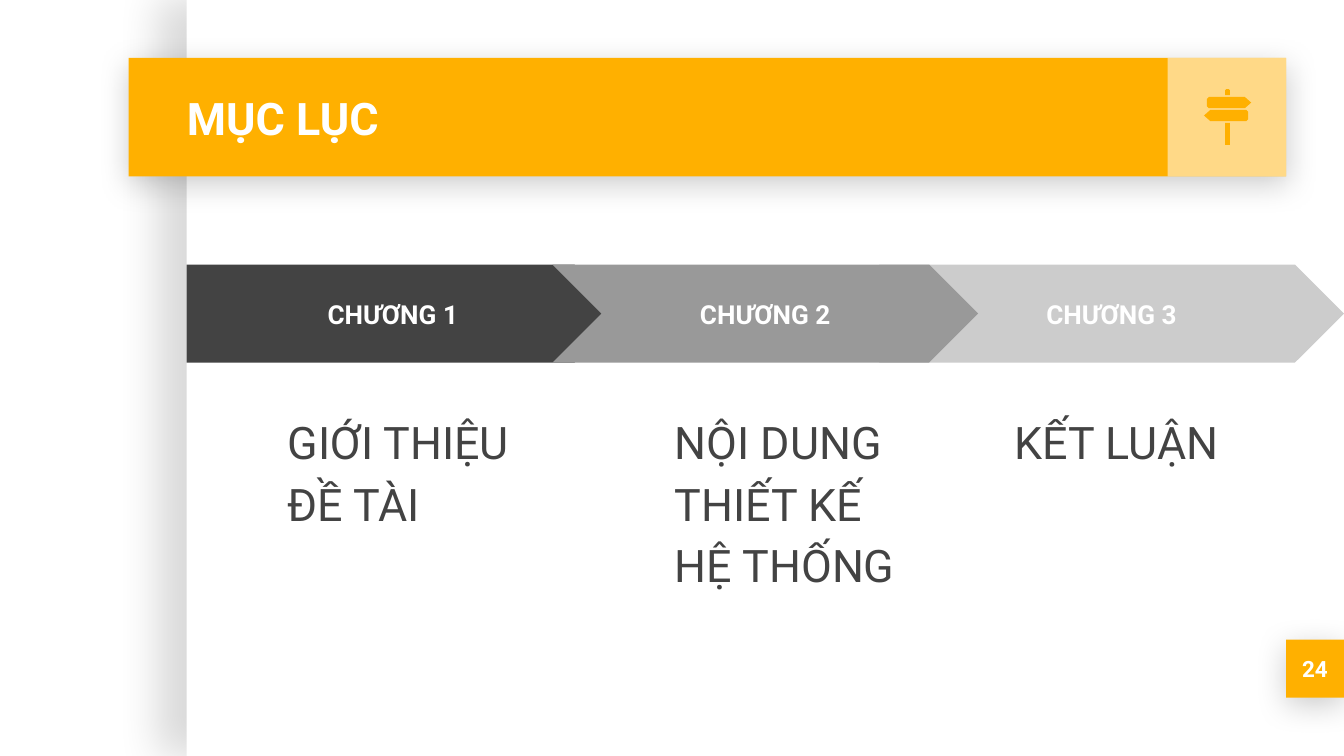
from lxml import etree
from pptx import Presentation
from pptx.dml.color import RGBColor
from pptx.enum import shapes, text
from pptx.oxml import ns
from pptx.util import Pt

COLORS = {
    "white": "FFFFFF",
    "black": "000000",
    "amber": "FFB000",
    "dark": "434343",
    "mid": "999999",
    "light": "CCCCCC",
}
FONT = "Roboto"
INSET = 7.2
SHAPE = shapes.MSO_SHAPE

# Arrow kind, colour, left, width, label; topic left, width, height, wording
CHAPTERS = [
    (SHAPE.CHEVRON, "light", 471, 249, "CHƯƠNG 3", 536.5, 168.5, 151, "KẾT LUẬN"),
    (SHAPE.PENTAGON, "dark", 100, 234, "CHƯƠNG 1", 147, 137, 142.5, "GIỚI THIỆU ĐỀ TÀI"),
    (SHAPE.CHEVRON, "mid", 296, 228, "CHƯƠNG 2", 354.5, 137, 151, "NỘI DUNG THIẾT KẾ HỆ THỐNG"),
]


def rgb(name):
    return RGBColor.from_string(COLORS[name])


def paint(sp, color):
    sp.shadow.inherit = False
    sp.fill.solid()
    sp.fill.fore_color.rgb = rgb(color)
    sp.line.fill.background()


def add_alpha(color_element, percent):
    alpha = etree.SubElement(color_element, ns.qn("a:alpha"))
    alpha.set("val", str(percent * 1000))


def add_shadow(sp, percent, blur, distance, angle):
    effects = sp._element.spPr.find(ns.qn("a:effectLst"))
    shadow = etree.SubElement(effects, ns.qn("a:outerShdw"))
    for key, value in (("blurRad", Pt(blur)), ("dist", Pt(distance)), ("dir", angle * 60000)):
        shadow.set(key, str(value))
    shadow.set("algn", "bl")
    shadow.set("rotWithShape", "0")
    color = etree.SubElement(shadow, ns.qn("a:srgbClr"), val=COLORS["black"])
    add_alpha(color, percent)


def add_block(s, kind, left, top, width, height, color):
    sp = s.shapes.add_shape(kind, Pt(left), Pt(top), Pt(width), Pt(height))
    paint(sp, color)
    return sp


def write(sp, words, size, color="white", bold=True, align="LEFT", anchor="MIDDLE", spacing=None):
    tf = sp.text_frame
    tf.word_wrap = True
    tf.vertical_anchor = getattr(text.MSO_ANCHOR, anchor)
    tf.margin_left = tf.margin_right = tf.margin_top = tf.margin_bottom = Pt(INSET)
    p = tf.paragraphs[0]
    p.text = words
    p.alignment = getattr(text.PP_ALIGN, align)
    if spacing:
        p.line_spacing = spacing
    p.font.name = FONT
    p.font.size = Pt(size)
    p.font.bold = bold
    p.font.color.rgb = rgb(color)


def add_textbox(s, left, top, width, height, words, size, **style):
    sp = s.shapes.add_textbox(Pt(left), Pt(top), Pt(width), Pt(height))
    write(sp, words, size, **style)


def add_outline(group, points, color):
    corners = [(Pt(x), Pt(y)) for x, y in points]
    builder = group.shapes.build_freeform(*corners[0], scale=1.0)
    builder.add_line_segments(corners[1:], close=True)
    paint(builder.convert_to_shape(), color)


def sign_board(flat, tip, top, height=6, cut=1):
    """Board with chamfered corners at its flat end and a point at its tip."""
    way = 1 if tip > flat else -1
    bottom, neck, inner = top + height, tip - way * 3.4, flat + way * cut
    return [(inner, top), (flat, top + cut), (flat, bottom - cut), (inner, bottom),
            (neck, bottom), (tip, top + height / 2), (neck, top)]


def pole(top, bottom, cut=0, left=656.3, right=658.9):
    return [(left + cut, top), (left, top + cut), (left, bottom),
            (right, bottom), (right, top + cut), (right - cut, top)]


def add_signpost(s):
    group = s.shapes.add_group_shape()
    for points in (sign_board(646.6, 670.3, 52), sign_board(668.6, 645, 58.9),
                   pole(47.7, 50.9, cut=0.7), pole(65.9, 77.7)):
        add_outline(group, points, "amber")


def add_chapter(s, kind, color, left, width, label, topic_left, topic_width, topic_height, topic):
    arrow = add_block(s, kind, left, 141.75, width, 52.5, color)
    arrow.adjustments[0] = 0.5
    write(arrow, label, 14, align="CENTER")
    add_textbox(s, topic_left, 210.5, topic_width, topic_height, topic, 24,
                color="dark", bold=False, anchor="TOP", spacing=1.15)


def main():
    prs = Presentation()
    prs.slide_width, prs.slide_height = Pt(720), Pt(405)
    s = prs.slides.add_slide(prs.slide_layouts[6])

    # White page casting a shadow to the left
    page = add_block(s, SHAPE.RECTANGLE, 100, 0, 620, 405, "white")
    add_shadow(page, 15, 22.5, 15, 180)

    # Page number
    number = add_block(s, SHAPE.RECTANGLE, 689, 342.75, 31, 31, "amber")
    add_shadow(number, 20, 16.9, 3.8, 90)
    write(number, "24", 12, align="CENTER")

    # Title band with its icon square
    band = add_block(s, SHAPE.RECTANGLE, 69, 31, 620, 63.5, "amber")
    add_shadow(band, 20, 16.9, 3.8, 90)
    square = add_block(s, SHAPE.RECTANGLE, 625.5, 31, 63.5, 63.5, "white")
    add_alpha(square._element.spPr.find(ns.qn("a:solidFill"))[0], 53)
    add_textbox(s, 93, 31, 530.5, 63.5, "MỤC LỤC", 24)
    add_signpost(s)

    # Chapter arrows and topics
    for chapter in CHAPTERS:
        add_chapter(s, *chapter)

    prs.save("out.pptx")


if __name__ == "__main__":
    main()
